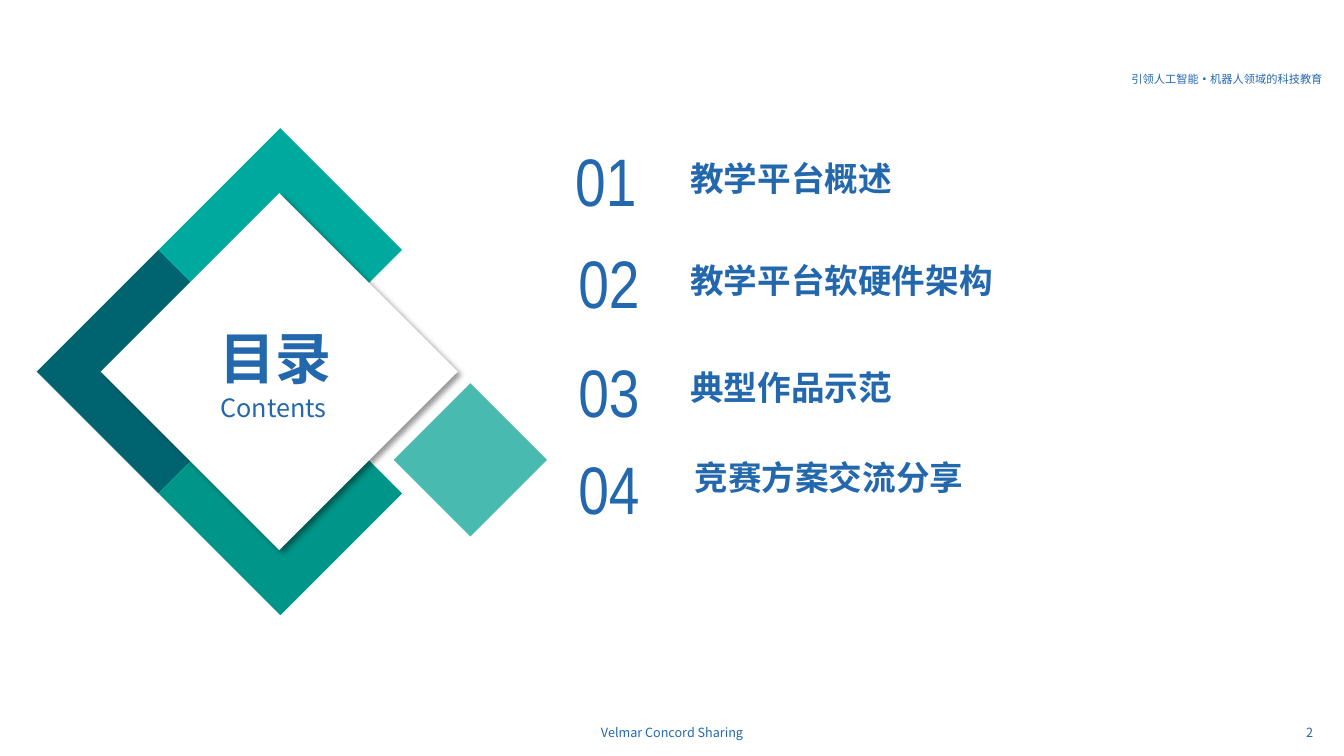
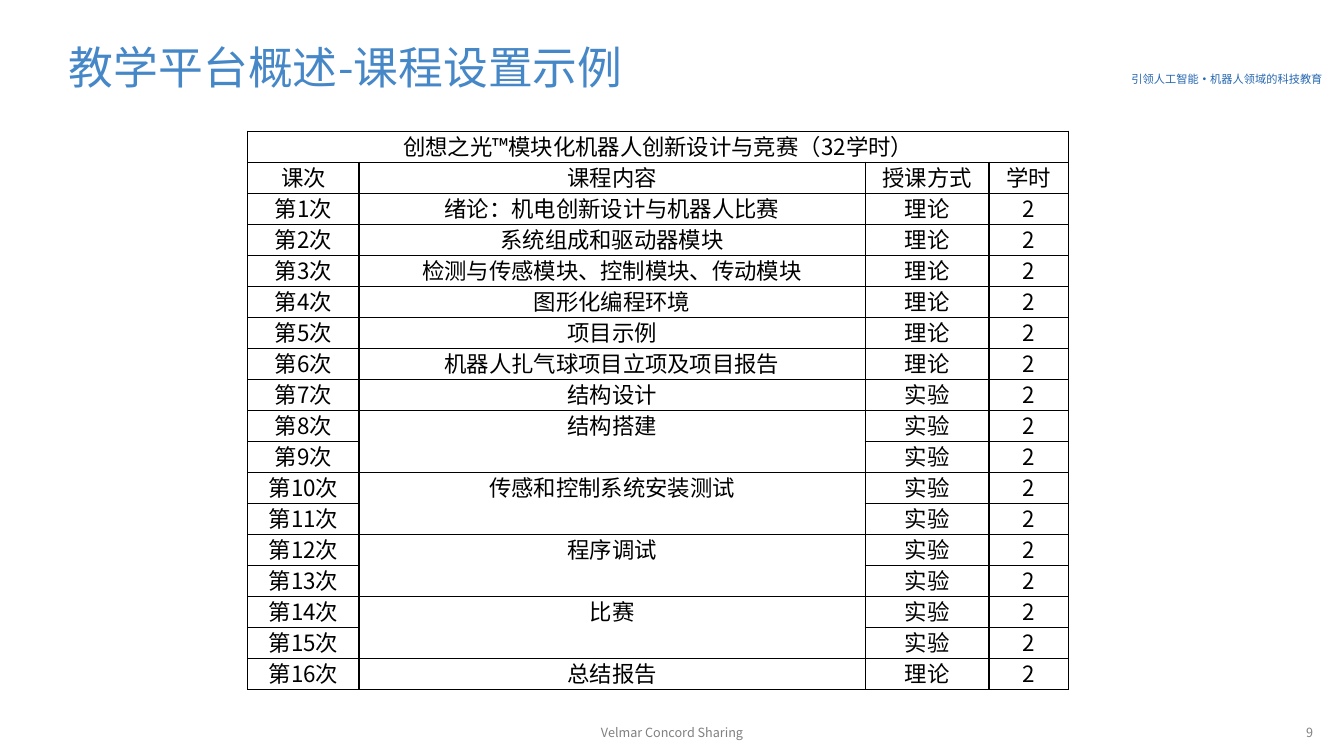
"""Build a contents slide and a course timetable slide with a shared header and footer."""
import lxml.etree
import pptx
import pptx.dml.color
import pptx.enum.shapes
import pptx.enum.text
import pptx.oxml.ns
import pptx.util

RGBColor = pptx.dml.color.RGBColor
ALIGN = pptx.enum.text.PP_ALIGN
ANCHOR = pptx.enum.text.MSO_ANCHOR
qn = pptx.oxml.ns.qn

BLUE = RGBColor(0x23, 0x68, 0xAD)
TAGLINE_BLUE = RGBColor(0x25, 0x67, 0xB0)
TITLE_BLUE = RGBColor(0x46, 0x87, 0xC7)
GRAY = RGBColor(0x80, 0x80, 0x80)
BLACK = RGBColor(0, 0, 0)
WHITE = RGBColor(255, 255, 255)
DARK_TEAL = RGBColor(0x00, 0x64, 0x70)
BRIGHT_TEAL = RGBColor(0x00, 0xA9, 0x9D)
DEEP_TEAL = RGBColor(0x00, 0x95, 0x89)
LIGHT_TEAL = RGBColor(0x49, 0xBA, 0xAF)

EMU_PER_PX = 9525
CJK_FONT = "Noto Sans CJK SC"


def px(length):
    """Turn a px length into EMU."""
    return pptx.util.Emu(length * EMU_PER_PX)


def font(size, color, name=CJK_FONT, bold=False):
    """Collect the format values of a run."""
    return {"size": pptx.util.Pt(size), "name": name, "bold": bold, "color": color}


TAGLINE_FONT = font(8, TAGLINE_BLUE)
TITLE_FONT = font(32, TITLE_BLUE)
CONTENTS_FONT = font(40, BLUE, bold=True)
SUBTITLE_FONT = font(18, BLUE)
NUMBER_FONT = font(48, BLUE, "Arial Narrow")
TOPIC_FONT = font(24, BLUE, "Calibri", True)
TABLE_FONT = font(16, BLACK)

TAGLINE = [("引领人工智能", False), ("·", True), ("机器人领域的科技教育", False)]
FOOTER = "Velmar Concord Sharing"
TAGLINE_AREA = (1068, 64, 216, 23)
FOOTER_AREA = (424, 679, 432, 38)
PAGE_NUMBER_AREA = (972, 679, 288, 38)

CONTENTS_AREA = (183, 303, 159, 82)
SUBTITLE_AREA = (181, 357, 159, 45)
DIAMONDS = [
    (151, 354, 116, DARK_TEAL, False),
    (267, 238, 116, BRIGHT_TEAL, False),
    (267, 470, 116, DEEP_TEAL, False),
    (266, 354, 170, WHITE, True),
    (448, 438, 73, LIGHT_TEAL, False),
]
NUMBER_SIZE = (116, 88)
TOPIC_SIZE = (312, 48)
TOPICS = [
    ("01", (577, 171), "教学平台概述", (648, 146)),
    ("02", (580, 268), "教学平台软硬件架构", (648, 243)),
    ("03", (580, 372), "典型作品示范", (648, 345)),
    ("04", (580, 464), "竞赛方案交流分享", (652, 430)),
]

TITLE = "教学平台概述-课程设置示例"
TITLE_AREA = (56, 7, 1058, 88)
TABLE_CORNER = (236, 125)
TABLE_HEIGHT = 532
COLUMN_WIDTHS = (106, 482, 118, 76)
COURSE = "创想之光™模块化机器人创新设计与竞赛（32学时）"
HEADINGS = ("课次", "课程内容", "授课方式", "学时")
THEORY, PRACTICE = "理论", "实验"
HOURS = "2"
LESSONS = [
    ("绪论：机电创新设计与机器人比赛", THEORY, 1),
    ("系统组成和驱动器模块", THEORY, 1),
    ("检测与传感模块、控制模块、传动模块", THEORY, 1),
    ("图形化编程环境", THEORY, 1),
    ("项目示例", THEORY, 1),
    ("机器人扎气球项目立项及项目报告", THEORY, 1),
    ("结构设计", PRACTICE, 1),
    ("结构搭建", PRACTICE, 2),
    ("传感和控制系统安装测试", PRACTICE, 2),
    ("程序调试", PRACTICE, 2),
    ("比赛", PRACTICE, 2),
    ("总结报告", THEORY, 1),
]


def add_span(para, text, values):
    """Add one formatted run."""
    span = para.add_run()
    span.text = text
    for key, value in values.items():
        if key == "color":
            span.font.color.rgb = value
        else:
            setattr(span.font, key, value)
    east_asian = lxml.etree.SubElement(span._r.get_or_add_rPr(), qn("a:ea"))
    east_asian.set("typeface", CJK_FONT)


def write(box, spans, align=ALIGN.LEFT, spacing=None, **frame_values):
    """Fill a shape with one paragraph of (text, format) runs."""
    frame = box.text_frame
    frame_values = {"word_wrap": True, "vertical_anchor": ANCHOR.TOP,
                    "auto_size": pptx.enum.text.MSO_AUTO_SIZE.NONE, **frame_values}
    for key, value in frame_values.items():
        setattr(frame, key, value)
    para = frame.paragraphs[0]
    para.alignment = align
    para.line_spacing = spacing
    for text, values in spans:
        add_span(para, text, values)


def add_text(page, area, spans, **options):
    """Add a text box."""
    write(page.shapes.add_textbox(*map(px, area)), spans, **options)


def add_page(deck, number, color):
    """Add a title-only slide with tagline, footer and page number."""
    page = deck.slides.add_slide(deck.slide_layouts[5])
    add_text(page, TAGLINE_AREA,
             [(text, {**TAGLINE_FONT, "bold": bold}) for text, bold in TAGLINE])
    for area, text, align in ((FOOTER_AREA, FOOTER, ALIGN.CENTER),
                              (PAGE_NUMBER_AREA, number, ALIGN.RIGHT)):
        add_text(page, area, [(text, font(9, color))], align=align,
                 vertical_anchor=ANCHOR.MIDDLE)
    return page


def set_title(page, area, text, values, **options):
    """Place the title placeholder in front and fill it."""
    title = page.shapes.title
    for key, value in zip(("left", "top", "width", "height"), area):
        setattr(title, key, px(value))
    write(title, [(text, values)], **options)
    page.shapes._spTree.append(title._element)


def add_shadow(shape):
    """Give a shape a soft shadow to the lower right."""
    effects = shape._element.spPr.find(qn("a:effectLst"))
    shadow = lxml.etree.SubElement(effects, qn("a:outerShdw"), blurRad="50800",
                                   dist="38100", dir="2700000", algn="tl", rotWithShape="0")
    color = lxml.etree.SubElement(shadow, qn("a:srgbClr"), val=str(BLACK))
    lxml.etree.SubElement(color, qn("a:alpha"), val="40000")


def add_diamond(page, center_x, center_y, half, color, shadowed):
    """Add a square diamond around a centre."""
    area = (center_x - half, center_y - half, 2 * half, 2 * half)
    diamond = page.shapes.add_shape(pptx.enum.shapes.MSO_SHAPE.DIAMOND, *map(px, area))
    diamond.shadow.inherit = False
    diamond.fill.solid()
    diamond.fill.fore_color.rgb = color
    diamond.line.fill.background()
    if shadowed:
        add_shadow(diamond)


def build_contents(deck):
    """Build the contents slide."""
    page = add_page(deck, "2", BLUE)
    for diamond in DIAMONDS:
        add_diamond(page, *diamond)
    add_text(page, SUBTITLE_AREA, [("Contents", SUBTITLE_FONT)], align=ALIGN.CENTER,
             vertical_anchor=ANCHOR.BOTTOM, margin_left=0, margin_right=0,
             margin_top=0, margin_bottom=0)
    set_title(page, CONTENTS_AREA, "目录", CONTENTS_FONT, align=ALIGN.CENTER)
    width, height = NUMBER_SIZE
    for number, (center_x, center_y), topic, corner in TOPICS:
        area = (center_x - width // 2, center_y - height // 2, width, height)
        add_text(page, area, [(number, NUMBER_FONT)], align=ALIGN.CENTER,
                 vertical_anchor=ANCHOR.MIDDLE)
        add_text(page, corner + TOPIC_SIZE, [(topic, TOPIC_FONT)])


def format_cell(cell, text, anchor):
    """Draw the borders of a cell and write its text."""
    properties = cell._tc.get_or_add_tcPr()
    for side in ("lnL", "lnR", "lnT", "lnB"):
        border = lxml.etree.SubElement(properties, qn("a:" + side), w="12700")
        paint = lxml.etree.SubElement(border, qn("a:solidFill"))
        lxml.etree.SubElement(paint, qn("a:srgbClr"), val=str(BLACK))
    cell.fill.background()
    values = {"margin_left": px(7), "margin_right": px(7), "margin_top": 0,
              "margin_bottom": 0, "vertical_anchor": anchor}
    for key, value in values.items():
        setattr(cell, key, value)
    para = cell.text_frame.paragraphs[0]
    para.alignment = ALIGN.CENTER
    para.line_spacing = 0.95
    if text:
        add_span(para, text, TABLE_FONT)


def build_timetable(deck):
    """Build the course timetable slide."""
    page = add_page(deck, "9", GRAY)
    set_title(page, TITLE_AREA, TITLE, TITLE_FONT, spacing=0.9,
              vertical_anchor=ANCHOR.BOTTOM)
    rows = [(COURSE, "", "", ""), HEADINGS]
    merges = [(0, 0, 0, 3)]
    for content, method, count in LESSONS:
        first = len(rows)
        for part in range(count):
            rows.append((f"第{len(rows) - 1}次", "" if part else content, method, HOURS))
        if count > 1:
            merges.append((first, 1, first + count - 1, 1))
    area = TABLE_CORNER + (sum(COLUMN_WIDTHS), TABLE_HEIGHT)
    table = page.shapes.add_table(len(rows), len(HEADINGS), *map(px, area)).table
    table.first_row = table.horz_banding = False
    for column, width in zip(table.columns, COLUMN_WIDTHS):
        column.width = px(width)
    for row_index, row in enumerate(rows):
        for column_index, text in enumerate(row):
            anchor = ANCHOR.TOP if column_index == 1 else ANCHOR.MIDDLE
            format_cell(table.cell(row_index, column_index), text, anchor)
    for top, left, bottom, right in merges:
        table.cell(top, left).merge(table.cell(bottom, right))


def main():
    """Build and save the deck."""
    deck = pptx.Presentation()
    deck.slide_width, deck.slide_height = px(1280), px(720)
    build_contents(deck)
    build_timetable(deck)
    deck.save("out.pptx")


if __name__ == "__main__":
    main()
